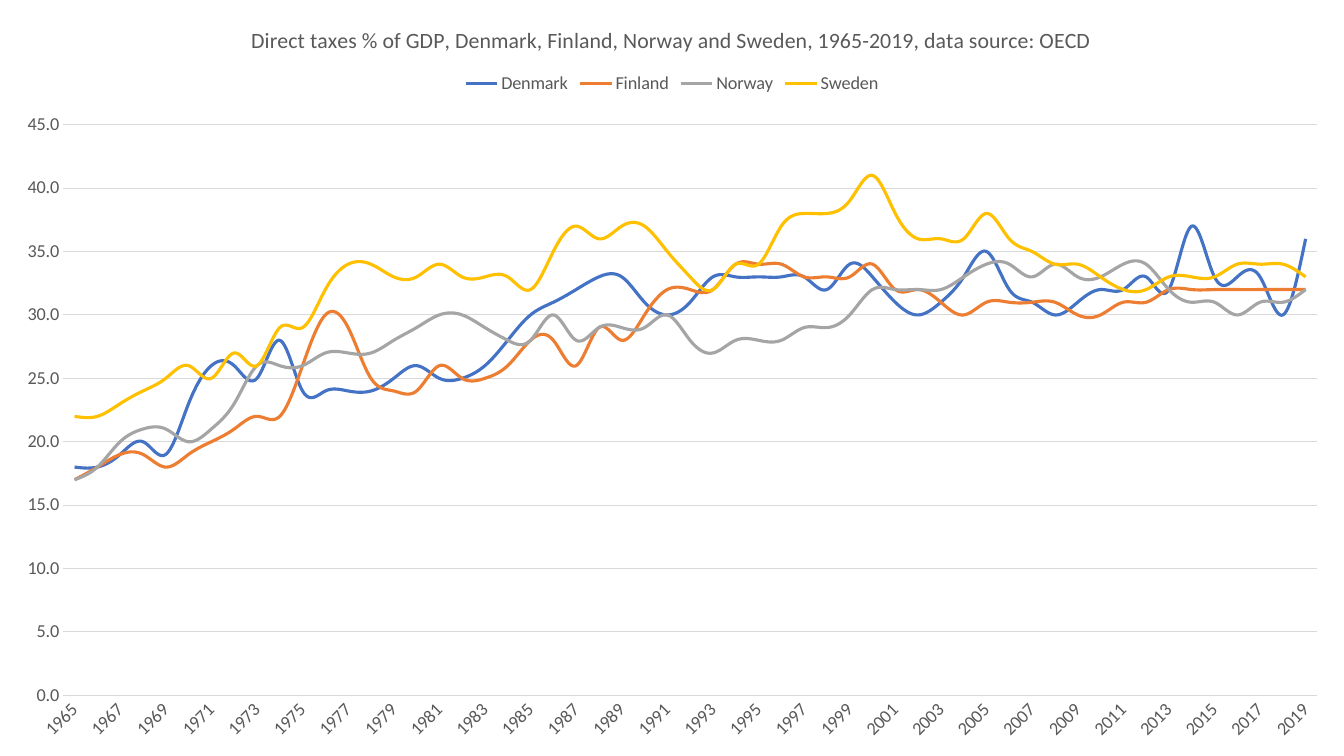
from lxml import etree
from pptx import Presentation
from pptx.chart.data import CategoryChartData
from pptx.dml.color import RGBColor
from pptx.enum import chart as ce
from pptx.oxml import ns
from pptx.util import Pt

FONT = "Calibri"
COLORS = {"text": "595959", "grid": "D9D9D9", "Denmark": "4472C4",
          "Finland": "ED7D31", "Norway": "A5A5A5", "Sweden": "FFC000"}
TITLE = ("Direct taxes % of GDP, Denmark, Finland, Norway and Sweden, "
         "1965-2019, data source: OECD")
YEARS = range(1965, 2020)
TAXES = {
    "Denmark": [
        18, 18, 19, 20, 19, 23, 26, 26, 25, 28, 24, 24, 24, 24, 25, 26, 25,
        25, 26, 28, 30, 31, 32, 33, 33, 31, 30, 31, 33, 33, 33, 33, 33, 32,
        34, 33, 31, 30, 31, 33, 35, 32, 31, 30, 31, 32, 32, 33, 32, 37, 33,
        33, 33, 30, 36],
    "Finland": [
        17, 18, 19, 19, 18, 19, 20, 21, 22, 22, 26, 30, 29, 25, 24, 24, 26,
        25, 25, 26, 28, 28, 26, 29, 28, 30, 32, 32, 32, 34, 34, 34, 33, 33,
        33, 34, 32, 32, 31, 30, 31, 31, 31, 31, 30, 30, 31, 31, 32, 32, 32,
        32, 32, 32, 32],
    "Norway": [
        17, 18, 20, 21, 21, 20, 21, 23, 26, 26, 26, 27, 27, 27, 28, 29, 30,
        30, 29, 28, 28, 30, 28, 29, 29, 29, 30, 28, 27, 28, 28, 28, 29, 29,
        30, 32, 32, 32, 32, 33, 34, 34, 33, 34, 33, 33, 34, 34, 32, 31, 31,
        30, 31, 31, 32],
    "Sweden": [
        22, 22, 23, 24, 25, 26, 25, 27, 26, 29, 29, 32, 34, 34, 33, 33, 34,
        33, 33, 33, 32, 35, 37, 36, 37, 37, 35, 33, 32, 34, 34, 37, 38, 38,
        39, 41, 38, 36, 36, 36, 38, 36, 35, 34, 34, 33, 32, 32, 33, 33, 33,
        34, 34, 34, 33],
}


def rgb(name):
    return RGBColor.from_string(COLORS[name])


def style_font(font, size=13):
    font.name, font.size, font.bold = FONT, Pt(size), False
    font.color.rgb = rgb("text")


def style_line(line, color, width):
    line.color.rgb = rgb(color)
    line.width = Pt(width)


def set_layout(parent, index, **settings):
    """Place a chart part by fractions of the chart's size."""
    layout = parent.find(ns.qn("c:layout"))
    if layout is None:
        layout = etree.Element(ns.qn("c:layout"))
        parent.insert(index, layout)
    for child in list(layout):
        layout.remove(child)
    manual = etree.SubElement(layout, ns.qn("c:manualLayout"))
    for tag, val in settings.items():
        etree.SubElement(manual, ns.qn(f"c:{tag}")).set("val", str(val))


def add_title(chart):
    tf = chart.chart_title.text_frame
    tf.text = TITLE
    style_font(tf.paragraphs[0].runs[0].font, 15.6)
    chart.chart_title.include_in_layout = False
    set_layout(chart.chart_title._element, 1,
               xMode="edge", yMode="edge", x=0.184, y=0.028)


def add_legend(chart):
    chart.has_legend = True
    legend = chart.legend
    legend.position = ce.XL_LEGEND_POSITION.TOP
    legend.include_in_layout = False
    style_font(legend.font)


def style_axes(chart):
    years, shares = chart.category_axis, chart.value_axis
    for axis in (years, shares):
        axis.major_tick_mark = axis.minor_tick_mark = ce.XL_TICK_MARK.NONE
        style_font(axis.tick_labels.font)
    style_line(years.format.line, "grid", 0.75)
    years._element.find(f".//{ns.qn('a:bodyPr')}").set("rot", "-2700000")
    skip = etree.Element(ns.qn("c:tickLblSkip"))
    skip.set("val", "2")
    years._element.find(ns.qn("c:noMultiLvlLbl")).addprevious(skip)

    shares.minimum_scale, shares.maximum_scale, shares.major_unit = 0, 45, 5
    shares.format.line.fill.background()
    shares.has_major_gridlines = True
    style_line(shares.major_gridlines.format.line, "grid", 0.75)
    shares.tick_labels.number_format = "0.0"
    shares.tick_labels.number_format_is_linked = False


def add_tax_chart(s, left, top, width, height):
    data = CategoryChartData(number_format="0.0")
    data.categories = [str(year) for year in YEARS]
    for country, values in TAXES.items():
        data.add_series(country, values)
    chart = s.shapes.add_chart(ce.XL_CHART_TYPE.LINE, left, top, width,
                               height, data).chart
    style_font(chart.font)
    add_title(chart)
    add_legend(chart)
    style_axes(chart)
    chart.plots[0].vary_by_categories = False
    for series in chart.plots[0].series:
        series.smooth = True
        series.marker.style = ce.XL_MARKER_STYLE.NONE
        style_line(series.format.line, series.name, 2.25)
    set_layout(chart._chartSpace.chart.plotArea, 0, layoutTarget="inner",
               xMode="edge", yMode="edge", x=0.047, y=0.165, w=0.933, h=0.755)


def main():
    prs = Presentation()
    prs.slide_width, prs.slide_height = Pt(960), Pt(540)
    s = prs.slides.add_slide(prs.slide_layouts[6])
    add_tax_chart(s, 0, 0, prs.slide_width, prs.slide_height)
    prs.save("out.pptx")


if __name__ == "__main__":
    main()
